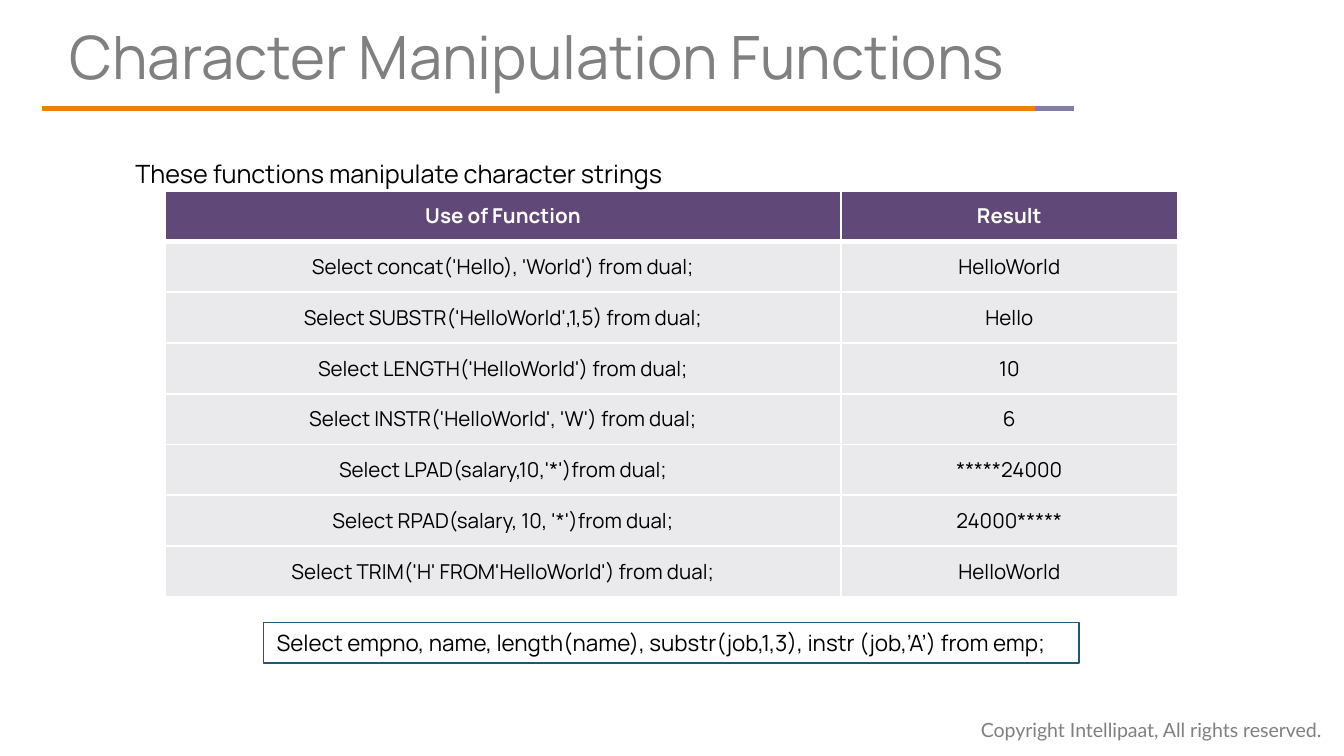
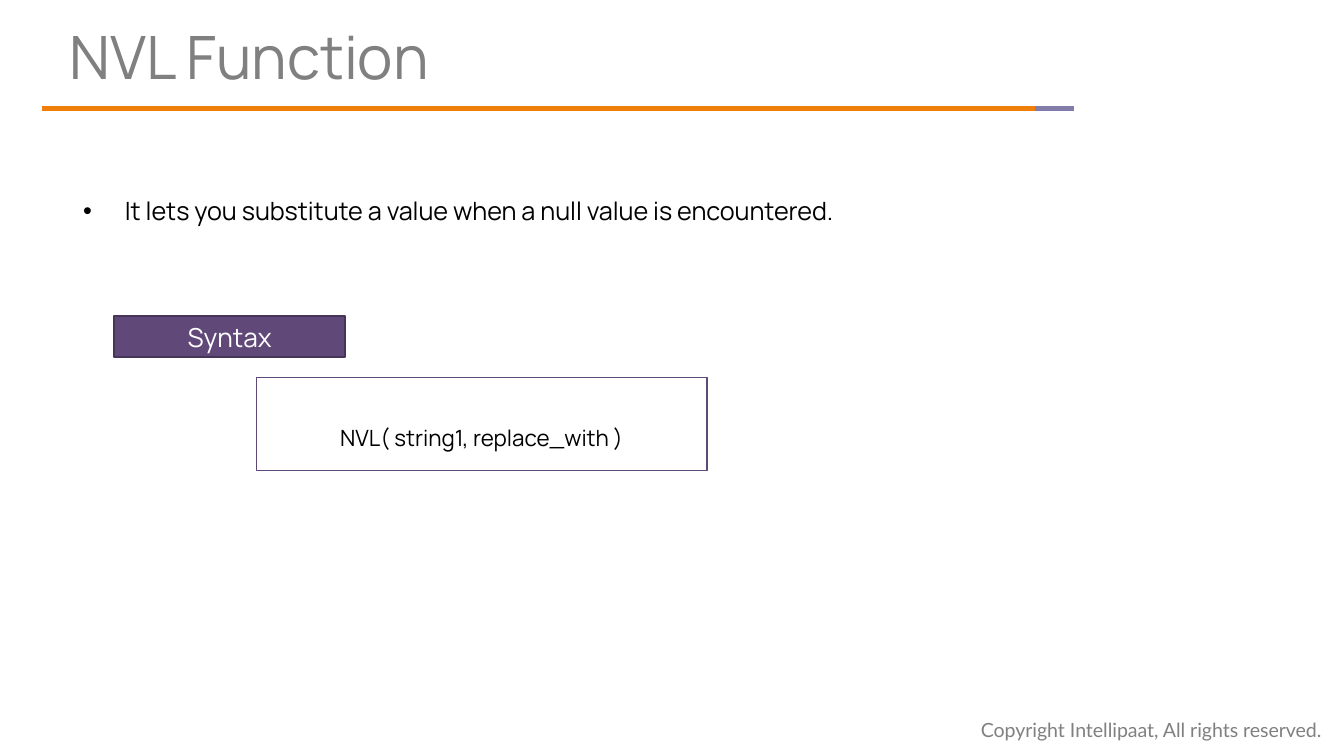
"""Build two slides on SQL character functions and the NVL function."""
from lxml.etree import SubElement
from pptx import Presentation
from pptx.dml.color import RGBColor
from pptx.enum.shapes import MSO_CONNECTOR, MSO_SHAPE
from pptx.enum.text import MSO_ANCHOR, PP_ALIGN
from pptx.oxml.ns import qn
from pptx.util import Pt

ORANGE, LILAC, PURPLE, DARK_PURPLE = "F07F09", "827CA8", "604878", "473559"
BLUE, GRAY, PALE, WHITE, BLACK = "1B587C", "808080", "EAE9EC", "FFFFFF", "000000"
FONT = "Manrope"

COPYRIGHT = "Copyright Intellipaat, All rights reserved."
RULES = [(22.4, 554.4, ORANGE), (554.4, 575.4, LILAC)]
RULE_TOP = 58.2

MANIPULATION = {
    "title": "Character Manipulation Functions",
    "title_size": (573, 45.4),
    "intro": "These functions manipulate character strings",
    "rows": [
        ("Use of Function", "Result"),
        ("Select concat('Hello), 'World') from dual;", "HelloWorld"),
        ("Select SUBSTR('HelloWorld',1,5) from dual;", "Hello"),
        ("Select LENGTH('HelloWorld') from dual;", "10"),
        ("Select INSTR('HelloWorld', 'W') from dual;", "6"),
        ("Select LPAD(salary,10,'*')from dual;", "*****24000"),
        ("Select RPAD(salary, 10, '*')from dual;", "24000*****"),
        ("Select TRIM('H' FROM'HelloWorld') from dual;", "HelloWorld"),
    ],
    "query": "Select empno, name, length(name), substr(job,1,3), instr (job,’A’) from emp;",
}
COLUMNS = (361.8, 180.7)
ROW_HEIGHT = 27.2

NVL = {
    "title": "NVL Function",
    "title_size": (533, 28.8),
    "point": "It lets you substitute a value when a null value is encountered.",
    "label": "Syntax",
    "syntax": "NVL( string1, replace_with )",
}


def color(value):
    return RGBColor.from_string(value)


def write(frame, text, size=12, ink=BLACK, font=FONT, bold=False,
          align=PP_ALIGN.LEFT, spacing=None, bullet=None, indent=22.4):
    frame.word_wrap = True
    paragraph = frame.paragraphs[0]
    paragraph.alignment = align
    if spacing:
        paragraph.line_spacing = spacing
    if bullet:
        properties = paragraph._p.get_or_add_pPr()
        properties.set("marL", str(Pt(indent)))
        properties.set("indent", str(-Pt(indent)))
        SubElement(properties, qn("a:buFont"), typeface="Arial")
        SubElement(properties, qn("a:buChar"), char=bullet)
    run = paragraph.add_run()
    run.text = text
    run.font.name, run.font.size, run.font.bold = font, Pt(size), bold
    run.font.color.rgb = color(ink)


def add_text(slide, area, text, **style):
    frame = slide.shapes.add_textbox(*map(Pt, area)).text_frame
    write(frame, text, **style)
    return frame


def add_panel(slide, area, text, outline, weight=0.75, fill=None,
              anchor=MSO_ANCHOR.MIDDLE, **style):
    panel = slide.shapes.add_shape(MSO_SHAPE.RECTANGLE, *map(Pt, area))
    panel.shadow.inherit = False
    if fill:
        panel.fill.solid()
        panel.fill.fore_color.rgb = color(fill)
    else:
        panel.fill.background()
    panel.line.color.rgb = color(outline)
    panel.line.width = Pt(weight)
    panel.text_frame.vertical_anchor = anchor
    write(panel.text_frame, text, **style)


def start_slide(deck, content):
    slide = deck.slides.add_slide(deck.slide_layouts[6])
    add_text(slide, (518.4, 380.9, 203.8, 20.2), COPYRIGHT,
             size=10.5, ink=GRAY, font="Lato")
    for start, end, ink in RULES:
        rule = slide.shapes.add_connector(
            MSO_CONNECTOR.STRAIGHT, Pt(start), Pt(RULE_TOP), Pt(end), Pt(RULE_TOP))
        rule.line.color.rgb = color(ink)
        rule.line.width = Pt(3)
        SubElement(rule._element.spPr, qn("a:effectLst"))
    title = add_text(slide, (37.4, 11.5, *content["title_size"]), content["title"],
                     size=32, ink=GRAY, spacing=0.9)
    title.margin_left = 0
    return slide


def set_borders(cell, bottom):
    properties = cell._tc.get_or_add_tcPr()
    widths = {"lnL": 1, "lnR": 1, "lnT": 1, "lnB": bottom}
    for position, (side, width) in enumerate(widths.items()):
        border = SubElement(properties, qn(f"a:{side}"), w=str(Pt(width)))
        fill = SubElement(border, qn("a:solidFill"))
        SubElement(fill, qn("a:srgbClr"), val=WHITE)
        properties.insert(position, border)


def add_function_table(slide, rows):
    table = slide.shapes.add_table(
        len(rows), len(COLUMNS), Pt(88.6), Pt(102.2),
        Pt(sum(COLUMNS)), Pt(ROW_HEIGHT * len(rows))).table
    for column, width in zip(table.columns, COLUMNS):
        column.width = Pt(width)
    for r, values in enumerate(rows):
        header = r == 0
        table.rows[r].height = Pt(ROW_HEIGHT)
        for c, value in enumerate(values):
            cell = table.cell(r, c)
            cell.fill.solid()
            cell.fill.fore_color.rgb = color(PURPLE if header else PALE)
            cell.vertical_anchor = MSO_ANCHOR.MIDDLE
            set_borders(cell, bottom=3 if header else 1)
            write(cell.text_frame, value, size=11, bold=header,
                  ink=WHITE if header else BLACK, align=PP_ALIGN.CENTER)


def build_manipulation(deck):
    slide = start_slide(deck, MANIPULATION)
    add_text(slide, (65.5, 56.9, 493.9, 41), MANIPULATION["intro"],
             size=13.5, spacing=2.5)
    add_function_table(slide, MANIPULATION["rows"])
    add_panel(slide, (141.1, 333.4, 437, 21.8), MANIPULATION["query"], BLUE,
              fill=WHITE, anchor=MSO_ANCHOR.TOP)


def build_nvl(deck):
    slide = start_slide(deck, NVL)
    add_text(slide, (37.4, 85, 670.3, 35.3), NVL["point"],
             size=13.5, spacing=2.0, bullet="•")
    add_panel(slide, (137.5, 202.3, 241.2, 49.7), NVL["syntax"], PURPLE,
              align=PP_ALIGN.CENTER, spacing=2.0)
    add_panel(slide, (61.2, 169.2, 123.8, 22.3), NVL["label"], DARK_PURPLE,
              weight=1, fill=PURPLE, size=14, ink=WHITE, align=PP_ALIGN.CENTER)


def main():
    deck = Presentation()
    deck.slide_width, deck.slide_height = Pt(720), Pt(405)
    build_manipulation(deck)
    build_nvl(deck)
    deck.save("out.pptx")


if __name__ == "__main__":
    main()
